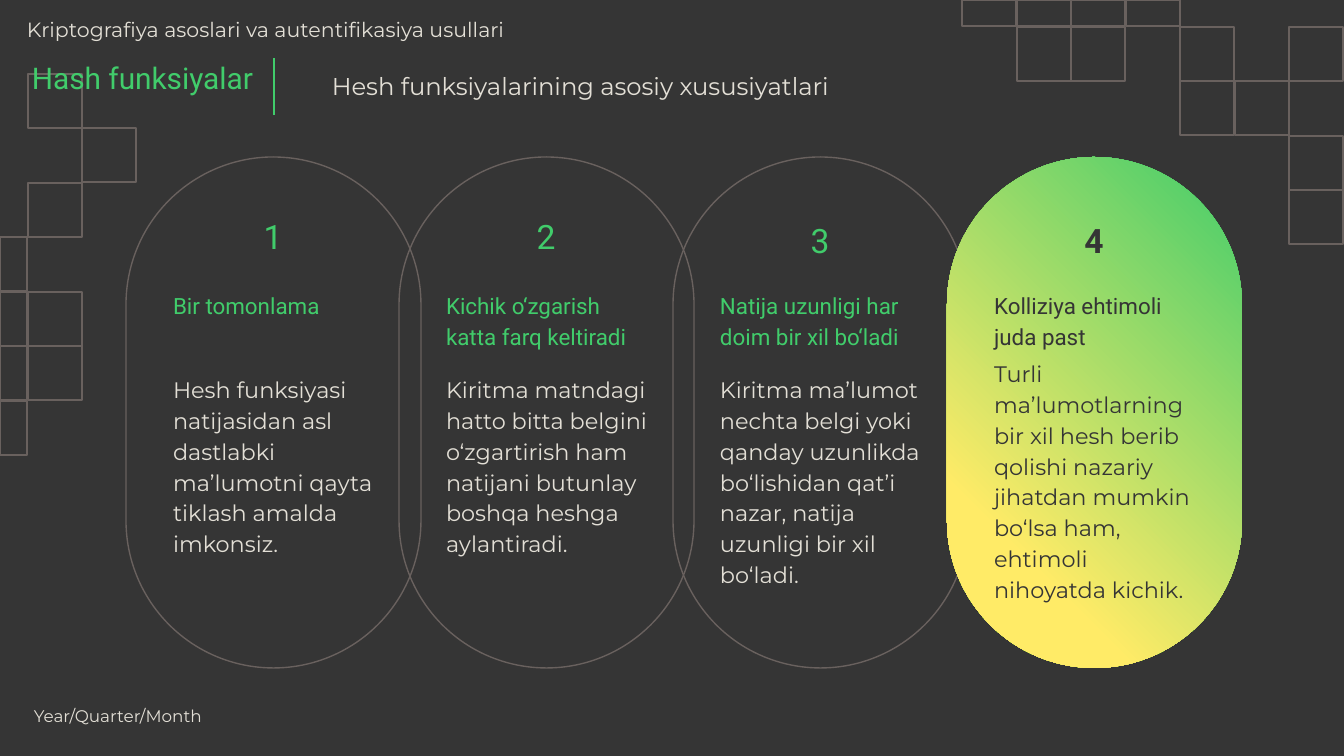
from lxml.etree import SubElement
from pptx import Presentation
from pptx.dml.color import RGBColor
from pptx.enum.shapes import MSO_CONNECTOR, MSO_SHAPE
from pptx.enum.text import MSO_ANCHOR, PP_ALIGN
from pptx.oxml.ns import qn
from pptx.util import Pt

SCALE = 914400 / 134.4
DARK = RGBColor(0x35, 0x35, 0x35)
GREEN = RGBColor(0x41, 0xCC, 0x6B)
YELLOW = RGBColor(0xFF, 0xEB, 0x67)
CREAM = RGBColor(0xE3, 0xDF, 0xD6)
GREY = RGBColor(0x69, 0x61, 0x5E)
HEAD_FONT, BODY_FONT = "Roboto", "Montserrat"

TOPIC = "Kriptografiya asoslari va autentifikasiya usullari"
TITLE = "Hash funksiyalar"
SUBTITLE = "Hesh funksiyalarining asosiy xususiyatlari"
FOOTER = "Year/Quarter/Month"
CARDS = [
    ("Bir tomonlama",
     "Hesh funksiyasi natijasidan asl dastlabki ma’lumotni qayta tiklash amalda imkonsiz.",
     203, 359),
    ("Kichik o‘zgarish katta farq keltiradi",
     "Kiritma matndagi hatto bitta belgini o‘zgartirish ham natijani butunlay boshqa heshga aylantiradi.",
     203, 359),
    ("Natija uzunligi har doim bir xil bo‘ladi",
     "Kiritma ma’lumot nechta belgi yoki qanday uzunlikda bo‘lishidan qat’i nazar, natija uzunligi bir xil bo‘ladi.",
     207, 359),
    ("Kolliziya ehtimoli juda past",
     "Turli ma’lumotlarning bir xil hesh berib qolishi nazariy jihatdan mumkin bo‘lsa ham, ehtimoli nihoyatda kichik.",
     207, 343),
]
CARD_LEFT, CARD_TOP, CARD_WIDTH, CARD_HEIGHT = 126, 157, 295, 511
CARD_SPAN = 821
TEXT_INDENT, TEXT_WIDTH = 34, 230
NUMBER_WIDTH = 70

CELL = 54
TWO_CELLS = 109
GRIDS = [
    (28, 74, [(0, 0), (1, 1), (0, 2), (-1, 3), (-1, 4), (0, 4), (-1, 5), (0, 5), (-1, 6)]),
    (1017, 27, [(-1, -1), (0, -1), (1, -1), (2, -1), (0, 0), (1, 0), (3, 0), (5, 0),
                (3, 1), (4, 1), (5, 2), (5, 3)]),
]


def px(*values):
    """Turn pixel lengths into EMU."""
    return [round(value * SCALE) for value in values]


def add_outline(slide, kind, *box):
    """Add an unfilled shape with a thin grey line."""
    shape = slide.shapes.add_shape(kind, *px(*box))
    shape.shadow.inherit = False
    shape.fill.background()
    shape.line.color.rgb = GREY
    shape.line.width = Pt(0.75)
    return shape


def add_grid(slide, left, top, cells):
    """Add decorative squares, cut off at the slide edge."""
    for column, row in cells:
        x = left + column * TWO_CELLS // 2
        y = top + row * TWO_CELLS // 2
        x_edge, y_edge = max(x, 0), max(y, 0)
        add_outline(slide, MSO_SHAPE.RECTANGLE, x_edge, y_edge,
                    x + CELL - x_edge, y + CELL - y_edge)


def add_text(slide, text, box, size, font, color, insets=(13, 13, 13, 13),
             spacing=1.0, align=PP_ALIGN.LEFT, anchor=MSO_ANCHOR.TOP, bold=False):
    """Add a wrapped text box with one formatted paragraph."""
    text_frame = slide.shapes.add_textbox(*px(*box)).text_frame
    text_frame.word_wrap = True
    text_frame.vertical_anchor = anchor
    (text_frame.margin_left, text_frame.margin_top,
     text_frame.margin_right, text_frame.margin_bottom) = px(*insets)
    text_frame.text = text
    paragraph = text_frame.paragraphs[0]
    paragraph.alignment = align
    paragraph.line_spacing = spacing
    run_font = paragraph.runs[0].font
    run_font.name, run_font.size, run_font.bold = font, Pt(size), bold
    run_font.color.rgb = color


def add_card(slide, index, heading, body, number_top, body_top):
    """Add one numbered pill; the last one is highlighted."""
    left = CARD_LEFT + index * CARD_SPAN // 3
    last = index == len(CARDS) - 1
    pill = add_outline(slide, MSO_SHAPE.ROUNDED_RECTANGLE,
                       left, CARD_TOP, CARD_WIDTH, CARD_HEIGHT)
    pill.adjustments[0] = 0.5
    if last:
        pill.line.fill.background()
        pill.fill.gradient()
        pill.fill.gradient_angle = 225
        for stop, color, position in zip(pill.fill.gradient_stops, (GREEN, YELLOW), (0, 0.77)):
            stop.color.rgb = color
            stop.position = position
    accent, body_color = (DARK, DARK) if last else (GREEN, CREAM)
    text_left = left + TEXT_INDENT
    add_text(slide, str(index + 1),
             (left + (CARD_WIDTH - NUMBER_WIDTH) // 2, number_top, NUMBER_WIDTH, 58),
             18, HEAD_FONT, accent, align=PP_ALIGN.CENTER, bold=last)
    add_text(slide, heading, (text_left, 275, TEXT_WIDTH, 67),
             12, HEAD_FONT, accent, spacing=1.15)
    add_text(slide, body, (text_left, body_top, TEXT_WIDTH, 242),
             12, BODY_FONT, body_color, spacing=1.15)


def main():
    """Build the slide on hash function properties."""
    presentation = Presentation()
    presentation.slide_width, presentation.slide_height = px(1344, 756)
    slide = presentation.slides.add_slide(presentation.slide_layouts[6])
    slide.background.fill.solid()
    slide.background.fill.fore_color.rgb = DARK

    for grid in GRIDS:
        add_grid(slide, *grid)

    divider = slide.shapes.add_connector(MSO_CONNECTOR.STRAIGHT, *px(274, 58, 274, 115))
    divider.line.color.rgb = GREEN
    divider.line.width = Pt(1.5)
    SubElement(divider.element.spPr, qn("a:effectLst"))

    for index, card in enumerate(CARDS):
        add_card(slide, index, *card)

    add_text(slide, TOPIC, (0, 5, 583, 55), 11, BODY_FONT, CREAM, insets=(27, 13, 13, 13))
    add_text(slide, TITLE, (5, 47, 267, 77), 16, HEAD_FONT, GREEN, insets=(27, 13, 13, 13))
    add_text(slide, SUBTITLE, (319, 54, 574, 77), 13, BODY_FONT, CREAM, spacing=1.15)
    add_text(slide, FOOTER, (34, 702, 285, 28), 9, BODY_FONT, CREAM,
             insets=(0, 0, 0, 0), anchor=MSO_ANCHOR.MIDDLE)
    presentation.save("out.pptx")


if __name__ == "__main__":
    main()
